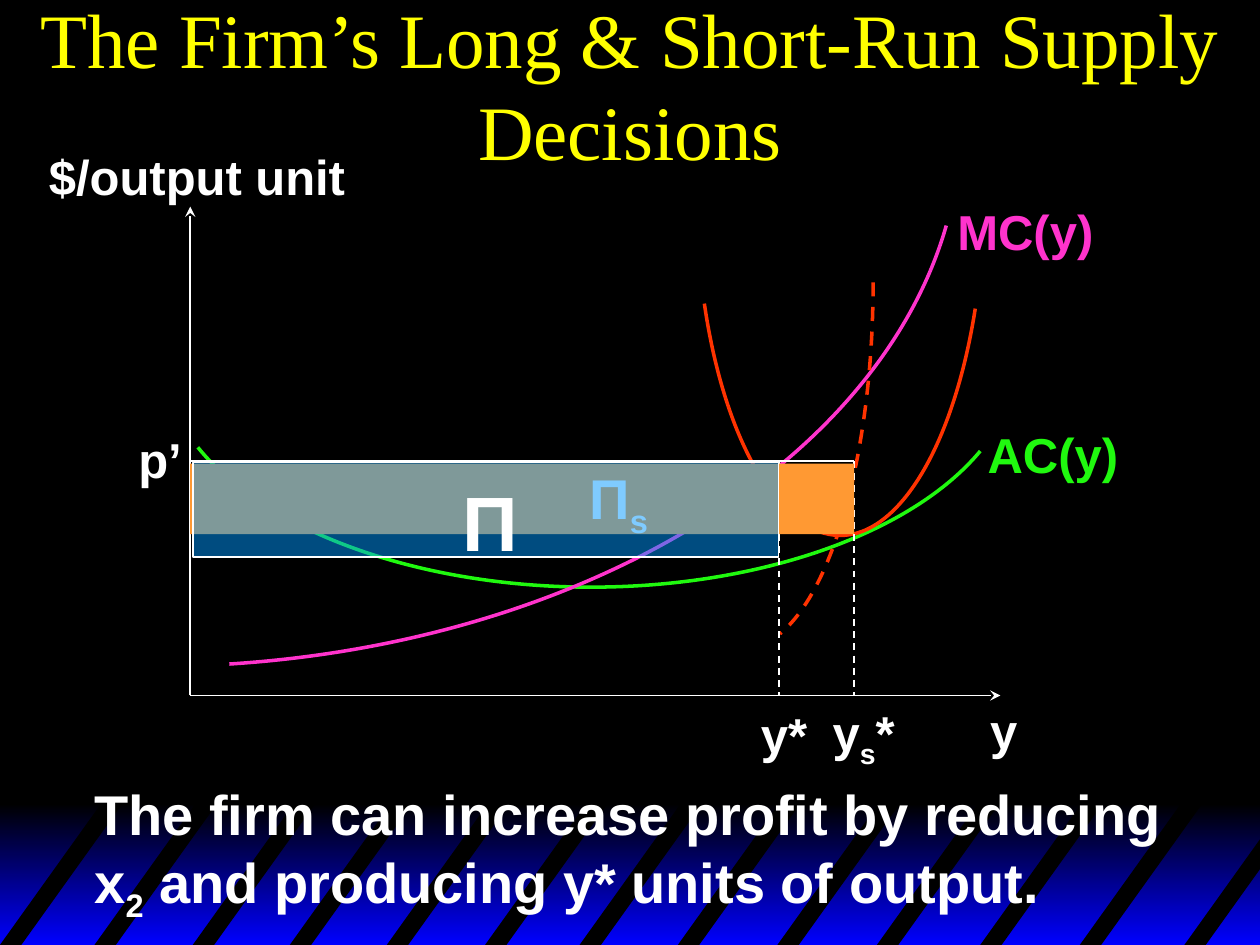
from lxml import etree
from pptx import Presentation
from pptx.dml.color import RGBColor
from pptx.enum.dml import MSO_LINE
from pptx.enum.shapes import MSO_CONNECTOR, MSO_SHAPE
from pptx.enum.text import MSO_ANCHOR, MSO_AUTO_SIZE, PP_ALIGN
from pptx.oxml.ns import qn
from pptx.util import Inches, Pt

DASH = MSO_LINE.DASH
STRAIGHT = MSO_CONNECTOR.STRAIGHT
RECT = MSO_SHAPE.RECTANGLE
MIDDLE = MSO_ANCHOR.MIDDLE
GROW = MSO_AUTO_SIZE.SHAPE_TO_FIT_TEXT
CENTER, LEFT = PP_ALIGN.CENTER, PP_ALIGN.LEFT

COLORS = {
    "black": "000000", "blue": "0000FF", "yellow": "FFFF00", "white": "FFFFFF",
    "green": "20F90F", "pink": "FF33CC", "red": "FF3300",
    "orange": "FF9933", "sky": "0099FF",
}
COLS, ROWS = 100, 75
SLIDE_W, SLIDE_H = Inches(10), Inches(7.5)
CELL = SLIDE_W / COLS

# Boxes are (left, top, width, height) in columns and rows.
TITLE_BOX = (0, 0, COLS, 13.3)
BAND_BOX = (0, 63.4, COLS, 11.6)
CHART_BOX = (15.1, 16.4, 64.3, 38.8)
NOTE_BOX = (6.5, 61.4, 86.8, 12.4)


def rgb(name):
    return RGBColor.from_string(COLORS[name])


def emu(*cells):
    return [round(c * CELL) for c in cells]


def shift(box, x, y):
    return box[0] + x, box[1] + y


def set_line(line, color, width=1, dash=None):
    line.color.rgb = rgb(color)
    line.width = Pt(width)
    if dash:
        line.dash_style = dash


def add_text(s, box, runs, color="white", size=28, font="Arial", bold=True):
    """Runs are (text, baseline in percent) pairs; a newline alone is a line break."""
    tf = s.shapes.add_textbox(*emu(*box)).text_frame
    tf.word_wrap = False
    tf.auto_size = GROW
    p = tf.paragraphs[0]
    p.alignment = LEFT
    fmt = {"name": font, "size": Pt(size), "bold": bold}
    for text, baseline in runs:
        if text == "\n":
            p.add_line_break()
            continue
        r = p.add_run()
        r.text = text
        for key, value in fmt.items():
            setattr(r.font, key, value)
        r.font.color.rgb = rgb(color)
        if baseline:
            r._r.get_or_add_rPr().set("baseline", str(baseline * 1000))
    return tf


def add_line(s, start, end, dash=None, arrow=False):
    line = s.shapes.add_connector(STRAIGHT, *emu(*start, *end))
    set_line(line.line, "white", dash=dash)
    if arrow:
        etree.SubElement(line.line._get_or_add_ln(), qn("a:tailEnd"), type="stealth")
    etree.SubElement(line._element.spPr, qn("a:effectLst"))


def add_outline(s, points, close):
    start, *rest = [emu(*pt) for pt in points]
    builder = s.shapes.build_freeform(*start)
    builder.add_line_segments(rest, close=close)
    sp = builder.convert_to_shape()
    sp.shadow.inherit = False
    return sp


def add_curve(s, points, color, dash=None):
    """Draw Bezier pieces: a start point, then three points for each piece."""
    sp = add_outline(s, points, close=False)
    sp.fill.background()
    set_line(sp.line, color, 2, dash)
    path = sp._element.find(".//" + qn("a:path"))
    steps = path.findall(qn("a:lnTo"))
    for i in range(0, len(steps), 3):
        bezier = etree.SubElement(path, qn("a:cubicBezTo"))
        for step in steps[i:i + 3]:
            bezier.append(step[0])
            path.remove(step)


def add_rect(s, box):
    sp = s.shapes.add_shape(RECT, *emu(*box))
    sp.shadow.inherit = False
    sp.line.fill.background()
    return sp


def add_striped_band(s, box):
    x, y, w, h = box
    fill = add_rect(s, (x, y + 0.4, w, h - 0.4)).fill
    fill.gradient()
    fill.gradient_angle = 270
    for stop, color, position in zip(fill.gradient_stops, ("black", "blue"), (0, 1)):
        stop.color.rgb = rgb(color)
        stop.position = position

    lean, thick = 8.3, 1.7

    def top_end(foot):
        """Upper end of a slanted edge, cut off at the right side of the band."""
        share = min(1, (w - foot) / lean)
        return x + foot + share * lean, y + h - share * h

    for foot in (0, 7.5, 15.3, 23, 30.7, 38.5, 46, 53.8, 61.7, 69.6, 77.8, 85.7, 94):
        sp = add_outline(s, [(x + foot, y + h), top_end(foot),
                             top_end(foot + thick), (x + foot + thick, y + h)], close=True)
        sp.fill.solid()
        sp.fill.fore_color.rgb = rgb("black")
        sp.line.fill.background()


def add_title(s, box):
    tf = add_text(s, box, [("The Firm’s Long & Short-Run Supply Decisions", 0)],
                  "yellow", 44, "Times New Roman", False)
    tf.word_wrap = True
    tf.auto_size = MSO_AUTO_SIZE.NONE
    tf.vertical_anchor = MIDDLE
    tf.paragraphs[0].alignment = CENTER


def add_cost_chart(s, box):
    w, h = box[2:]
    price, y_long, y_short = 20.2, 46.7, 52.7

    def at(x, y):
        return shift(box, x, y)

    for tip in ((0, 0), (w, h)):
        add_line(s, at(0, h), at(*tip), arrow=True)

    curves = [
        ("green", None, [(62.7, 19.4), (57.2, 26), (45.1, 30.2), (31.8, 30.2),
                         (18.2, 30.2), (6, 25.8), (0.6, 19.1)]),
        ("pink", None, [(60, 1.5), (54.6, 20.3), (31.4, 34.5), (3.1, 36.3)]),
        ("red", None, [(62.3, 8.1), (60.6, 18.9), (56.3, 26.1), (51.6, 26.1),
                       (46.8, 26.1), (42.4, 18.7), (40.8, 7.7)]),
        ("red", DASH, [(54.2, 6), (54.2, 18.9), (51.2, 30.3), (46.8, 33.9)]),
    ]
    for color, dash, points in curves:
        add_curve(s, [at(*pt) for pt in points], color, dash)

    add_line(s, at(y_short, price), at(0, price))
    for output in (y_short, y_long):
        add_line(s, at(output, price), at(output, h), dash=DASH)

    labels = [
        (59.9, -0.9, 12.8, "pink", [("MC(y)", 0)]),
        (62.3, 16.8, 12.4, "green", [("AC(y)", 0)]),
        (62.5, 38.7, 4.2, "white", [("y", 0)]),
        (-12.2, -5.3, 25.5, "white", [("$/output unit", 0)]),
        (-5.1, 17.2, 5.5, "white", [("p’", 0)]),
        (50, 38.9, 6.9, "white", [("y", 0), ("s", -25), ("*", 0)]),
        (44.3, 39, 5.7, "white", [("y*", 0)]),
    ]
    for x, y, width, color, runs in labels:
        add_text(s, (*at(x, y), width, 5.7), runs, color)

    short_profit = add_rect(s, (*at(0, price + 0.2), y_short, 5.6))
    short_profit.fill.solid()
    short_profit.fill.fore_color.rgb = rgb("orange")
    add_text(s, (*at(30.7, 19.9), 6.9, 7.1), [("Π", 0), ("s", -25)], size=32)

    long_profit = add_rect(s, (*at(0.2, price + 0.1), y_long - 0.2, 7.5))
    long_profit.fill.solid()
    long_profit.fill.fore_color.rgb = rgb("sky")
    tint = long_profit._element.spPr.find(qn("a:solidFill"))[0]
    etree.SubElement(tint, qn("a:alpha"), val="50000")
    set_line(long_profit.line, "white")
    add_text(s, (*at(20.6, 20.8), 6.8, 8.3), [("Π", 0)], size=44)


def add_note(s, box):
    add_text(s, box, [("The firm can increase profit by reducing", 0), ("\n", 0), ("x", 0),
                      ("2", -25), (" and producing y* units of output.", 0)], size=32)


def main():
    prs = Presentation()
    prs.slide_width, prs.slide_height = SLIDE_W, SLIDE_H
    s = prs.slides.add_slide(prs.slide_layouts[6])
    s.background.fill.solid()
    s.background.fill.fore_color.rgb = rgb("black")
    add_striped_band(s, BAND_BOX)
    add_title(s, TITLE_BOX)
    add_cost_chart(s, CHART_BOX)
    add_note(s, NOTE_BOX)
    prs.save("out.pptx")


if __name__ == "__main__":
    main()
